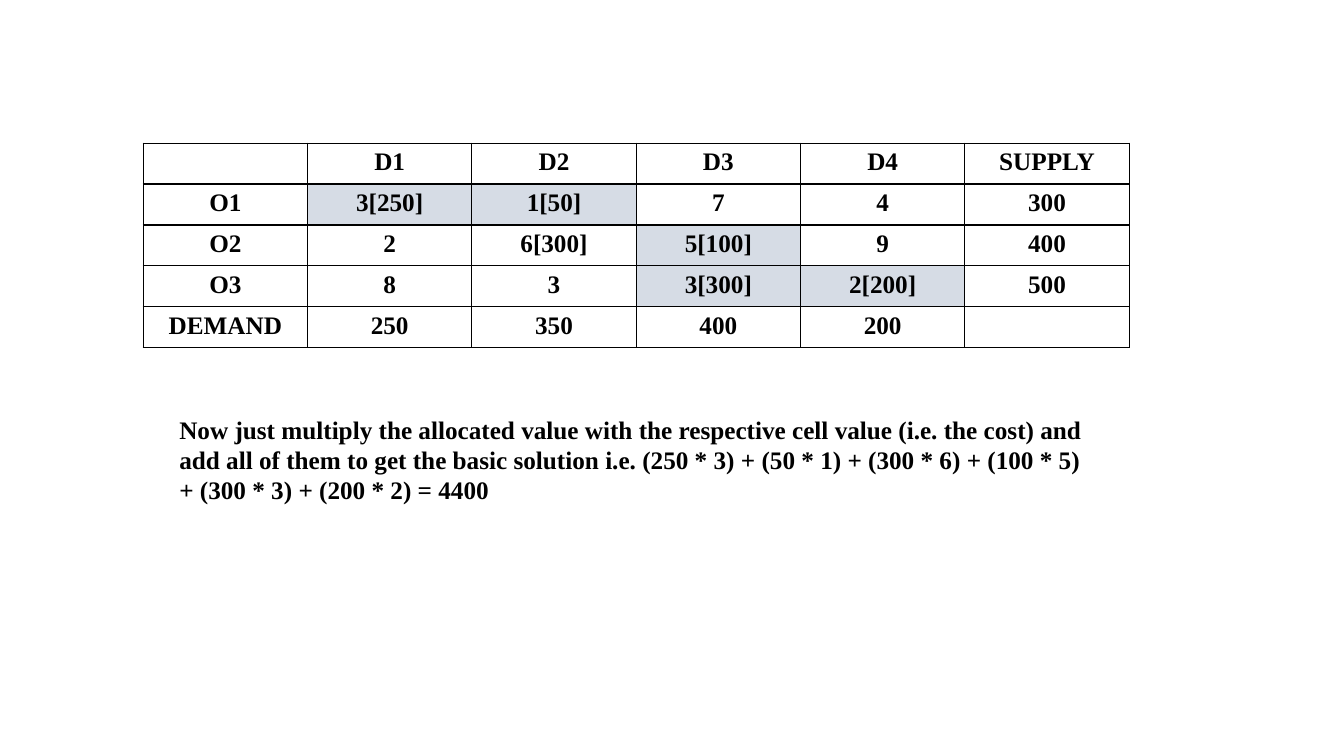
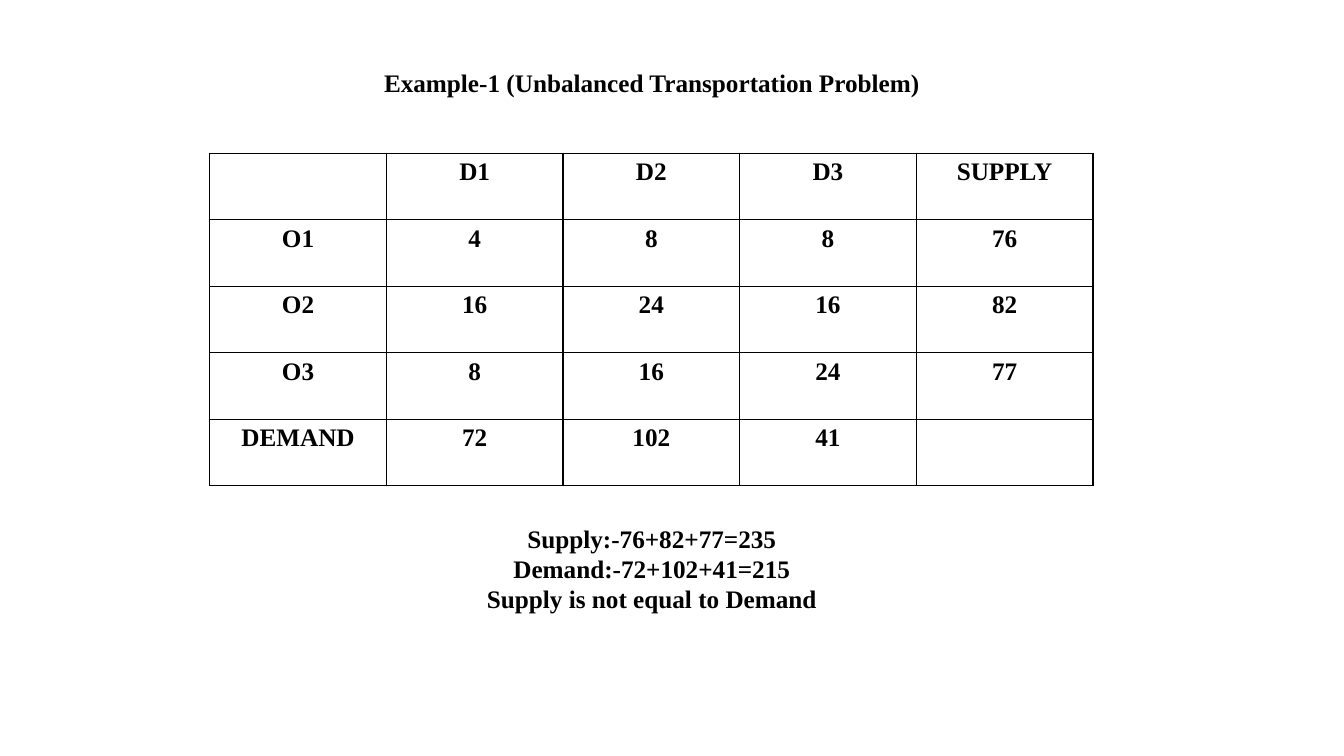
import pptx
import pptx.dml.color
import pptx.enum.text
import pptx.oxml
import pptx.oxml.ns
import pptx.util

Inches = pptx.util.Inches
ALIGN = pptx.enum.text.PP_ALIGN
ANCHOR = pptx.enum.text.MSO_ANCHOR
BLACK, ALLOCATED = "000000", "D6DCE5"
TITLE_ONLY, BLANK = 5, 6


def rgb(value):
    return pptx.dml.color.RGBColor.from_string(value)


class Deck:
    """Holds the shared style and the slide being built."""

    font = {"name": "Times New Roman", "size": pptx.util.Pt(18), "bold": True}

    def __init__(self):
        self.prs = pptx.Presentation()
        self.prs.slide_width = Inches(13.33)
        self.prs.slide_height = Inches(7.5)
        self.s = None

    def slide(self, layout):
        self.s = self.prs.slides.add_slide(self.prs.slide_layouts[layout])

    def fill_text(self, tf, lines, align):
        for i, line in enumerate(lines):
            p = tf.paragraphs[0] if i == 0 else tf.add_paragraph()
            p.alignment = align
            r = p.add_run()
            r.text = line
            for key, value in self.font.items():
                setattr(r.font, key, value)
            r.font.color.rgb = rgb(BLACK)

    def title(self, text, left, top, width, height):
        sp = self.s.shapes.title
        box = {"left": left, "top": top, "width": width, "height": height}
        for key, value in box.items():
            setattr(sp, key, Inches(value))
        sp.text_frame.vertical_anchor = ANCHOR.TOP
        self.fill_text(sp.text_frame, [text], ALIGN.CENTER)

    def text(self, lines, left, top, width, height, align=ALIGN.LEFT):
        sp = self.s.shapes.add_textbox(*map(Inches, (left, top, width, height)))
        tf = sp.text_frame
        tf.word_wrap = True
        self.fill_text(tf, lines, align)

    def borders(self, cell):
        tc_pr = cell._tc.get_or_add_tcPr()
        for side in "LRTB":
            tc_pr.append(pptx.oxml.parse_xml(
                f'<a:ln{side} {pptx.oxml.ns.nsdecls("a")} w="12700"><a:solidFill>'
                f'<a:srgbClr val="{BLACK}"/></a:solidFill></a:ln{side}>'))

    def table(self, rows, left, top, width, height, allocated=()):
        box = map(Inches, (left, top, width, height))
        table = self.s.shapes.add_table(len(rows), len(rows[0]), *box).table
        table.first_row = table.horz_banding = False
        for i, row in enumerate(rows):
            for j, value in enumerate(row):
                cell = table.cell(i, j)
                self.borders(cell)
                if (i, j) in allocated:
                    cell.fill.solid()
                    cell.fill.fore_color.rgb = rgb(ALLOCATED)
                else:
                    cell.fill.background()
                self.fill_text(cell.text_frame, [value], ALIGN.CENTER)

    def save(self):
        self.prs.save("out.pptx")


def main():
    deck = Deck()

    deck.slide(BLANK)
    deck.table([
        ["", "D1", "D2", "D3", "D4", "SUPPLY"],
        ["O1", "3[250]", "1[50]", "7", "4", "300"],
        ["O2", "2", "6[300]", "5[100]", "9", "400"],
        ["O3", "8", "3", "3[300]", "2[200]", "500"],
        ["DEMAND", "250", "350", "400", "200", ""],
    ], 1.42, 1.42, 9.78, 2.03, allocated={(1, 1), (1, 2), (2, 3), (3, 3), (3, 4)})
    deck.text([
        "Now just multiply the allocated value with the respective cell value "
        "(i.e. the cost) and add all of them to get the basic solution i.e. "
        "(250 * 3) + (50 * 1) + (300 * 6) + (100 * 5) + (300 * 3) + (200 * 2) = 4400",
    ], 1.68, 4.06, 9.26, 1.01)

    deck.slide(TITLE_ONLY)
    deck.title("Example-1 (Unbalanced Transportation Problem)", 3.13, 0.62, 6.67, 0.4)
    deck.table([
        ["", "D1", "D2", "D3", "SUPPLY"],
        ["O1", "4", "8", "8", "76"],
        ["O2", "16", "24", "16", "82"],
        ["O3", "8", "16", "24", "77"],
        ["DEMAND", "72", "102", "41", ""],
    ], 2.08, 1.52, 8.76, 3.3)
    deck.text([
        "Supply:-76+82+77=235",
        "Demand:-72+102+41=215",
        "Supply is not equal to Demand",
    ], 4.48, 5.14, 3.97, 1.01, ALIGN.CENTER)

    deck.save()


if __name__ == "__main__":
    main()
